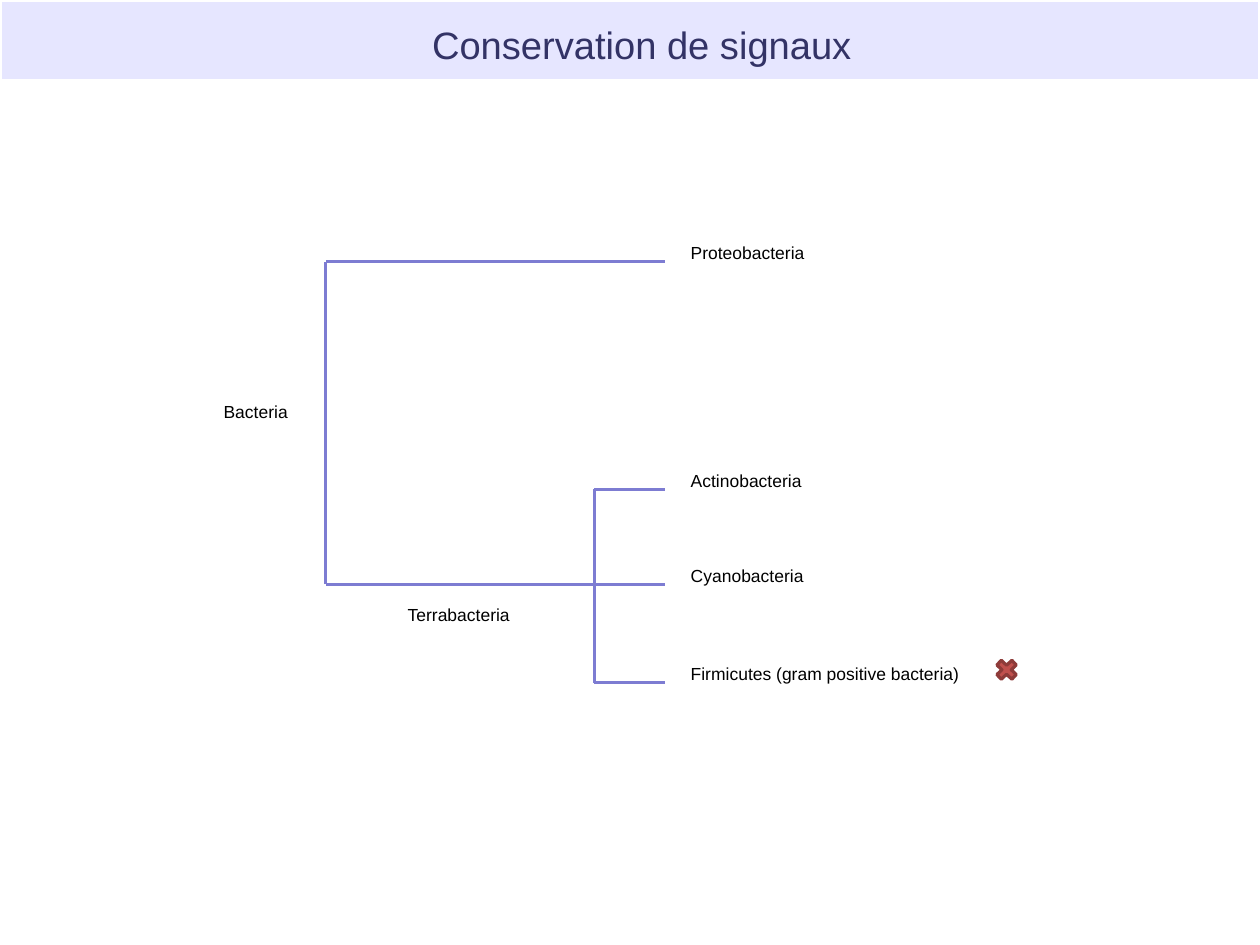
from pptx import Presentation
from pptx import util as u
from pptx.dml.color import RGBColor
from pptx.enum import shapes, text
from pptx.oxml.ns import qn
from lxml import etree

Cm = u.Cm


def paint(fmt, hue):
    if hasattr(fmt, "solid"):
        fmt.solid()
        fmt.fore_color.rgb = RGBColor.from_string(hue)
    else:
        fmt.color.rgb = RGBColor.from_string(hue)


def write(box, words, size=11, hue="000000", pad=0.15, anchor=text.MSO_ANCHOR.TOP):
    frame = box.text_frame
    frame.word_wrap = True
    frame.auto_size = text.MSO_AUTO_SIZE.NONE
    frame.vertical_anchor = anchor
    frame.margin_left = frame.margin_right = Cm(pad)
    frame.margin_top = frame.margin_bottom = Cm(0.15)
    para = frame.paragraphs[0]
    para.alignment = text.PP_ALIGN.LEFT
    run = para.add_run()
    run.text = words
    run.font.name = "Arial"
    run.font.size = u.Pt(size)
    paint(run.font, hue)


deck = Presentation()
deck.slide_width, deck.slide_height = Cm(28), Cm(21)
slide = deck.slides.add_slide(deck.slide_layouts[5])
parts = slide.shapes

# Title band, placed behind the title
band = parts.add_shape(shapes.MSO_SHAPE.RECTANGLE, 0, 0, Cm(28), Cm(1.8))
band.shadow.inherit = False
paint(band.fill, "E6E6FF")
paint(band.line, "FFFFFF")
band.line.width = u.Pt(2)
title = parts.title
band._element.addnext(title._element)
title.left, title.top, title.width, title.height = Cm(9.35), Cm(0.35), Cm(10.4), Cm(1.27)
write(title, "Conservation de signaux", size=24, hue="333366", pad=0.25,
      anchor=text.MSO_ANCHOR.MIDDLE)

# Tree: column positions and leaf heights
root, fork, tip = 7.24, 13.21, 14.77
leaves = {
    "Proteobacteria": 5.82,
    "Actinobacteria": 10.87,
    "Cyanobacteria": 12.98,
    "Firmicutes (gram positive bacteria)": 15.17,
}
top, high, mid, low = leaves.values()
lines = [
    (root, mid, root, top),
    (root, top, tip, top),
    (root, mid, fork, mid),
    (fork, low, fork, high),
] + [(fork, y, tip, y) for y in (high, mid, low)]
for x1, y1, x2, y2 in lines:
    line = parts.add_connector(shapes.MSO_CONNECTOR.STRAIGHT, Cm(x1), Cm(y1), Cm(x2), Cm(y2))
    paint(line.line, "7D7CD2")
    line.line.width = u.Pt(2)
    etree.SubElement(line._element.spPr, qn("a:effectLst"))

# Labels: inner nodes, then leaves
labels = [("Bacteria", 4.82, 8.76, 2.1), ("Terrabacteria", 8.91, 13.28, 3.05)]
labels += [(name, 15.2, y - 0.58, 7.98) for name, y in leaves.items()]
for name, x, y, wide in labels:
    write(parts.add_textbox(Cm(x), Cm(y), Cm(wide), Cm(1.22)), name)

# Cross beside the last leaf
cross = parts.add_shape(shapes.MSO_SHAPE.MATH_MULTIPLY, Cm(22.05), Cm(14.58), Cm(0.64), Cm(0.61))
cross.shadow.inherit = False
paint(cross.fill, "C0504D")
paint(cross.line, "8E3B39")
cross.line.width = u.Pt(2)

deck.save("out.pptx")
